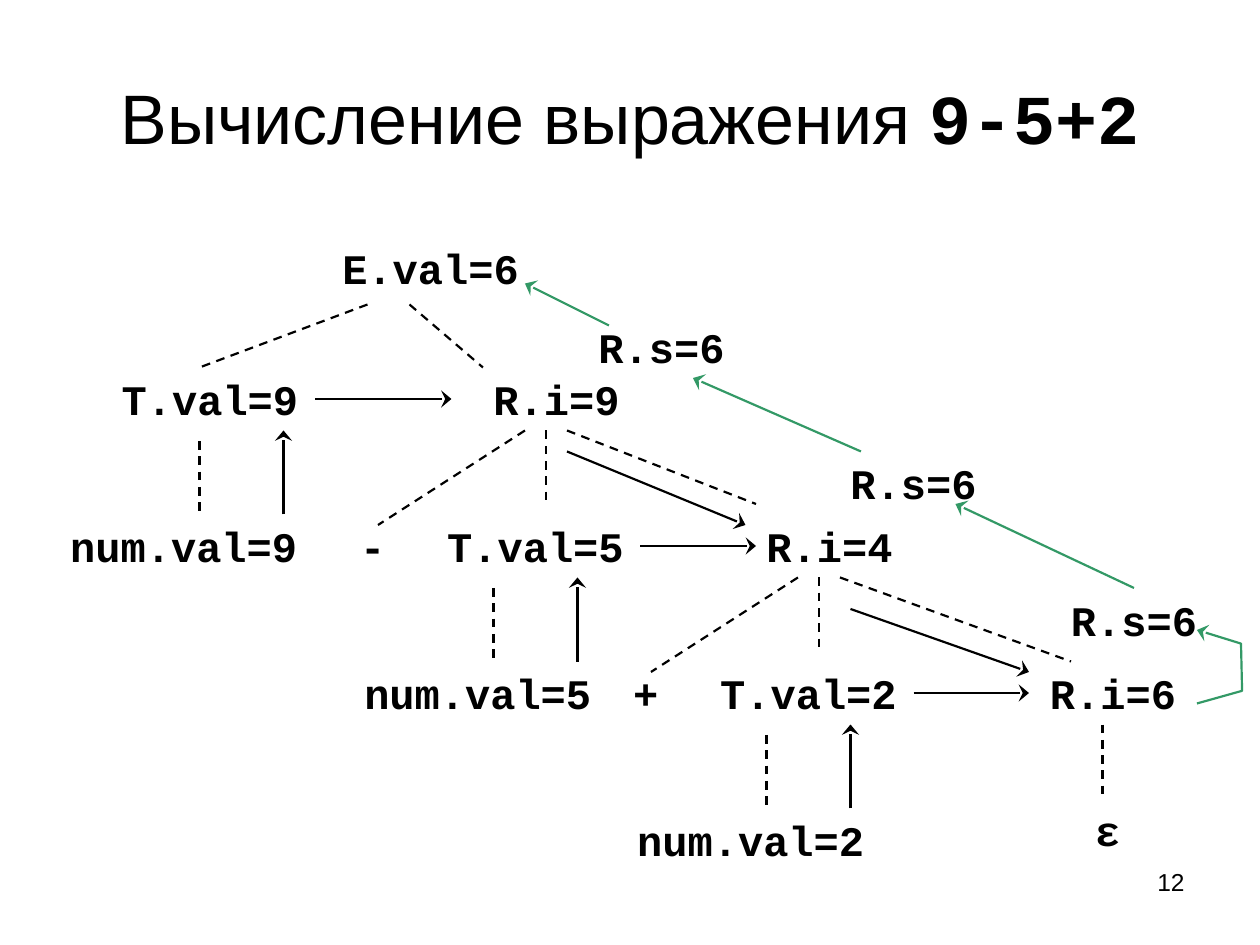
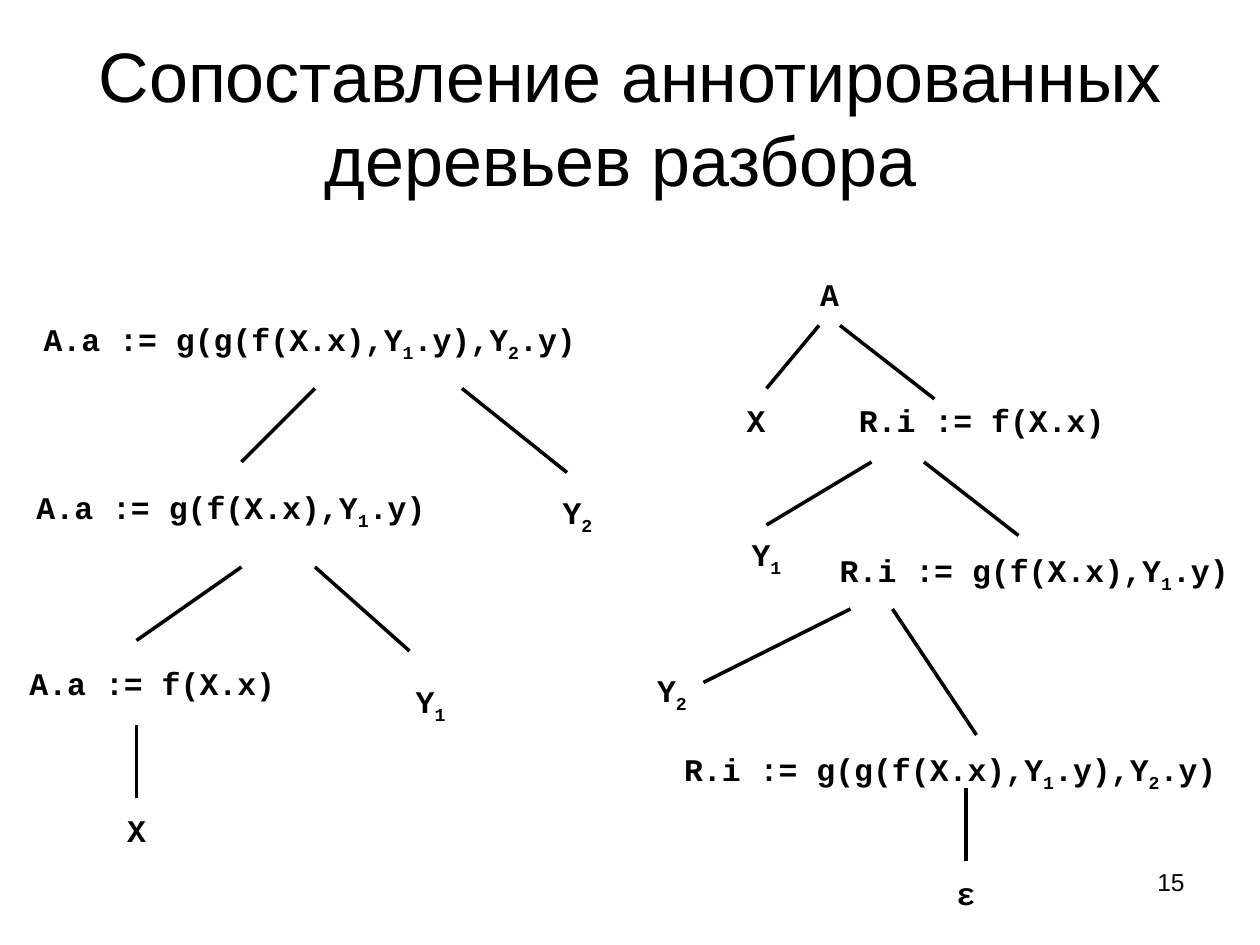
from lxml import etree
from pptx import Presentation
from pptx.dml.color import RGBColor
from pptx.enum import dml, shapes, text
from pptx.oxml import ns
from pptx.util import Cm, Pt

BLACK = RGBColor(0x00, 0x00, 0x00)
GREEN = RGBColor(0x33, 0x99, 0x66)
WHITE = RGBColor(0xFF, 0xFF, 0xFF)
PROSE, CODE = "Arial", "Courier New"
GRID = Cm(2.54) // 12  # all positions below count these grid steps


def add_label(slide, words, left, top, width, height=6, size=24, font=CODE, wrap=False,
              align=text.PP_ALIGN.CENTER, anchor=text.MSO_ANCHOR.MIDDLE):
    """Add a one-line label; the character after each "_" becomes a subscript."""
    box = slide.shapes.add_shape(shapes.MSO_SHAPE.RECTANGLE,
                                 *(int(n * GRID) for n in (left, top, width, height)))
    box.shadow.inherit = False
    box.fill.background()
    box.line.fill.background()
    frame = box.text_frame
    frame.word_wrap = wrap
    frame.vertical_anchor = anchor
    paragraph = frame.paragraphs[0]
    paragraph.alignment = align
    paragraph.font.size = Pt(size)
    paragraph.font.name = font
    paragraph.font.bold = font == CODE
    paragraph.font.color.rgb = BLACK
    plain, *indexed = words.split("_")
    paragraph.add_run().text = plain
    for piece in indexed:
        index = paragraph.add_run()
        index.text = piece[0]
        index.font._element.set("baseline", "-25000")
        if piece[1:]:
            paragraph.add_run().text = piece[1:]


def add_edge(slide, *points, color=BLACK, width=1.25, dashed=False, arrow=False):
    """Join the points by a connector, or by an open outline if there are more than two."""
    points = [(int(x * GRID), int(y * GRID)) for x, y in points]
    if len(points) == 2:
        edge = slide.shapes.add_connector(shapes.MSO_CONNECTOR.STRAIGHT, *points[0], *points[1])
    else:
        outline = slide.shapes.build_freeform(*points[0])
        outline.add_line_segments(points[1:], close=False)
        edge = outline.convert_to_shape()
        edge.fill.background()
    edge.line.color.rgb = color
    edge.line.width = Pt(width)
    if dashed:
        edge.line.dash_style = dml.MSO_LINE.DASH
    properties = edge._element.spPr
    if arrow:
        etree.SubElement(properties.find(ns.qn("a:ln")), ns.qn("a:tailEnd"),
                         type="stealth", w="lg", len="med")
    etree.SubElement(properties, ns.qn("a:effectLst"))


deck = Presentation()
deck.slide_width, deck.slide_height = Cm(25.4), Cm(19.05)

# Title and page number of each slide
headings = [
    ("12", [("Вычисление выражения ", PROSE), ("9-5+2", CODE)]),
    ("15", [("Сопоставление аннотированных деревьев разбора ", PROSE)]),
]
for page, parts in headings:
    slide = deck.slides.add_slide(deck.slide_layouts[5])
    slide.background.fill.solid()
    slide.background.fill.fore_color.rgb = WHITE
    title = slide.shapes.title
    title.left, title.top, title.width, title.height = Cm(1.27), Cm(0.76), Cm(22.86), Cm(3.18)
    title.text_frame.auto_size = text.MSO_AUTO_SIZE.NONE
    title.text_frame.vertical_anchor = text.MSO_ANCHOR.MIDDLE
    heading = title.text_frame.paragraphs[0]
    heading.alignment = text.PP_ALIGN.CENTER
    heading.font.size = Pt(40)
    heading.font.color.rgb = BLACK
    for words, font in parts:
        run = heading.add_run()
        run.text = words
        run.font.name = font
        run.font.bold = font == CODE
    add_label(slide, page, 86, 82, 28, size=14, font=PROSE, wrap=True,
              align=text.PP_ALIGN.RIGHT, anchor=text.MSO_ANCHOR.TOP)

evaluation, comparison = deck.slides

# Evaluation: the root, then one level for each number
add_label(evaluation, "E.val=6", 33, 22, 16, 7)
add_edge(evaluation, (35, 29), (19, 35), dashed=True)
add_edge(evaluation, (39, 29), (46, 35), dashed=True)

FIRST_ROW, ROW_STEP = 35, 14
levels = [  # number, inherited value, lefts of num, T and R, ends of the T-to-R arrow
    (9, 9, 6, 11, 44, 30, 43),
    (5, 4, 34, 42, 70, 61, 72),
    (2, 6, 60, 68, 97, 87, 98),
]
for depth, (number, inherited, num_x, t_x, r_x, start, end) in enumerate(levels):
    row = FIRST_ROW + depth * ROW_STEP
    next_row = row + ROW_STEP
    add_label(evaluation, f"T.val={number}", t_x, row, 18)
    add_label(evaluation, f"R.i={inherited}", r_x, row, 18)
    add_label(evaluation, f"num.val={number}", num_x, next_row, 23)
    add_edge(evaluation, (num_x + 13, row + 7), (num_x + 13, next_row), dashed=True)
    add_edge(evaluation, (num_x + 21, next_row), (num_x + 21, row + 6), arrow=True)
    add_edge(evaluation, (start, row + 3), (end, row + 3), arrow=True)

# Each R has an operator, a T and the next R below it
expansions = [  # operator, its left, row, middle of R, end of branch, arrow to the next R
    ("-", 33, 35, 52, (72, 48), (54, 43), (71, 50)),
    ("+", 59, 49, 78, (102, 63), (81, 58), (98, 64)),
]
for operator, left, row, middle, branch_end, start, end in expansions:
    bottom = row + 6
    add_label(evaluation, operator, left, row + ROW_STEP, 5)
    add_edge(evaluation, (middle - 2, bottom), (middle - 16, bottom + 9), dashed=True)
    add_edge(evaluation, (middle, bottom), (middle, bottom + 7), dashed=True)
    add_edge(evaluation, (middle + 2, bottom), branch_end, dashed=True)
    add_edge(evaluation, start, end, arrow=True)

add_edge(evaluation, (105, 69), (105, 76), dashed=True)
add_label(evaluation, "ε", 102, 76, 7)

# Synthesized values climb back to the root
for left, top in [(99, 56), (78, 43), (54, 30)]:
    add_label(evaluation, "R.s=6", left, top, 18)
climb = [
    [(114, 67), (118.3, 65.8), (118.2, 61.3), (114, 60)],
    [(108, 56), (91, 48)],
    [(82, 43), (66, 36)],
    [(58, 31), (50, 27)],
]
for points in climb:
    add_edge(evaluation, *points, color=GREEN, arrow=True)

# Comparison: left-recursive tree, then the tree without left recursion
nodes = [
    ("A.a := g(g(f(X.x),Y_1.y),Y_2.y)", 2, 29, 55, 7),
    ("A.a := g(f(X.x),Y_1.y)", 3, 45, 38, 7),
    ("Y_2", 51, 46, 8, 6),
    ("A.a := f(X.x)", -2, 62, 33, 6),
    ("Y_1", 37, 64, 8, 6),
    ("X", 9, 76, 8, 6),
    ("A", 75, 26, 8, 4),
    ("X", 68, 37, 8, 6),
    ("R.i := f(X.x)", 81, 37, 25, 6),
    ("Y_1", 69, 50, 8, 6),
    ("R.i := g(f(X.x),Y_1.y)", 79, 51, 39, 7),
    ("Y_2", 60, 63, 8, 6),
    ("R.i := g(g(f(X.x),Y_1.y),Y_2.y)", 63, 70, 55, 7),
    ("ε", 88, 82, 8, 6),
]
for words, *box in nodes:
    add_label(comparison, words, *box, size=18)

branches = [
    ((30, 37), (23, 44)), ((44, 37), (54, 45)),
    ((23, 54), (13, 61)), ((30, 54), (39, 62)),
    ((13, 69), (13, 76)),
    ((78, 31), (73, 37)), ((80, 31), (89, 38)),
    ((83, 44), (73, 50)), ((88, 44), (97, 51)),
    ((81, 58), (67, 65)), ((85, 58), (93, 70)),
    ((92, 75), (92, 82)),
]
for parent, child in branches:
    add_edge(comparison, parent, child, width=2)

deck.save("out.pptx")
